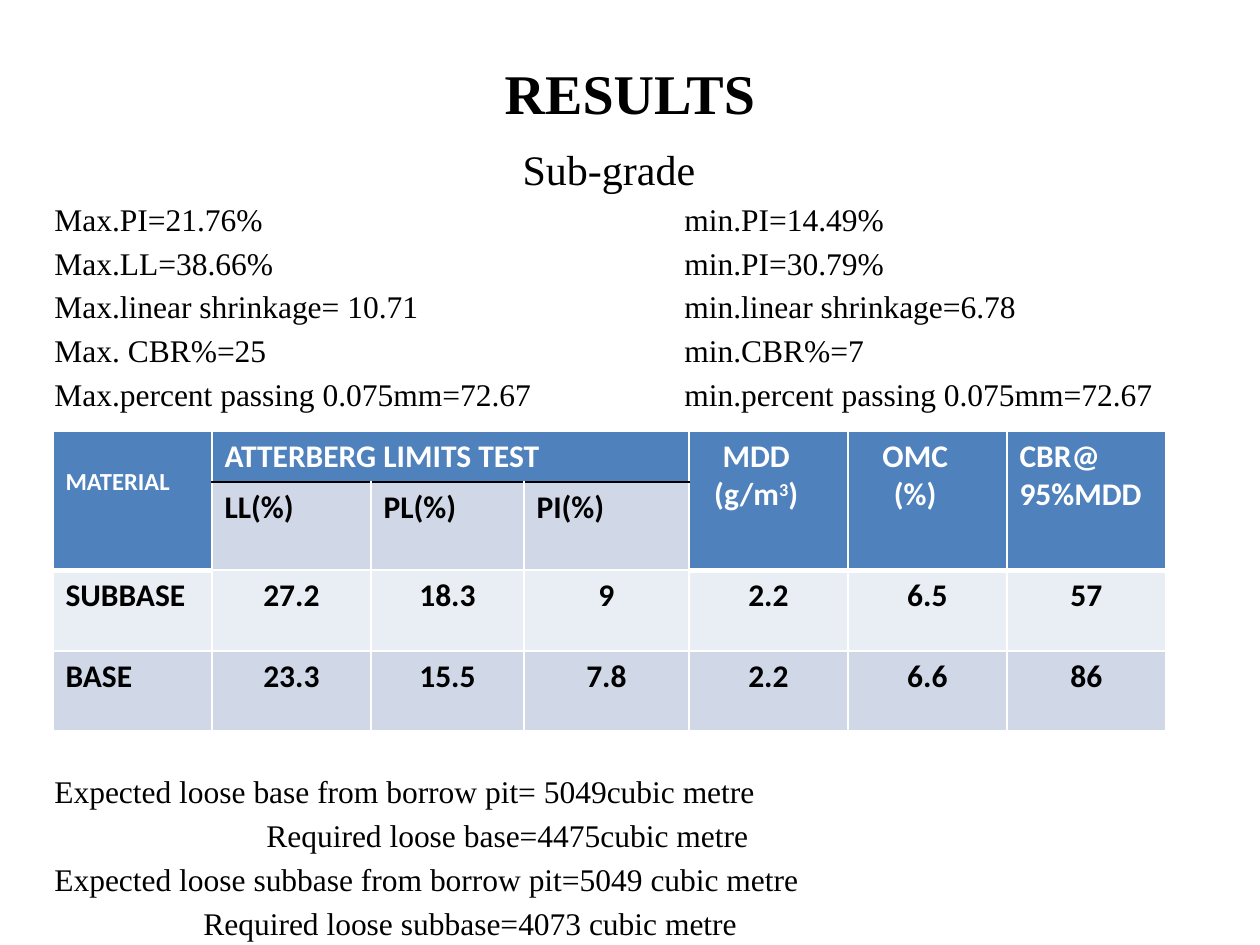
"""Build the results slide with sub-grade figures and the material test table."""
from dataclasses import dataclass, field
from typing import Any

from pptx import Presentation
from pptx.dml.color import RGBColor
from pptx.enum.text import MSO_ANCHOR as Anchor, PP_ALIGN as Align
from pptx.oxml.xmlchemy import OxmlElement as Element
from pptx.util import Pt

SCALE = 914400 / 126
COLORS = {"ink": "000000", "paper": "FFFFFF", "head": "4F81BD", "band": "D0D8E8", "light": "E9EDF4"}
SERIF, SANS = "Times New Roman", "Calibri"


@dataclass
class Line:
    text: str
    size: int = 18
    before: float = 3.5
    align: Align = Align.LEFT
    indent: int = 0
    font: str = SERIF
    color: str = "ink"
    bold: bool = False
    tab: int = 0
    superscript: str = ""
    ending: str = ""


@dataclass
class Cell:
    row: int
    col: int
    lines: list[Line]
    fill: str
    rows: int = 1
    cols: int = 1
    margins: dict[str, int] = field(default_factory=dict)


def emu(px: int) -> int:
    return round(px * SCALE)


def rgb(name: str) -> RGBColor:
    return RGBColor.from_string(COLORS[name])


def assign(target: Any, values: dict[str, Any]) -> None:
    for name, value in values.items():
        setattr(target, name, value)


def write(frame: Any, lines: list[Line]) -> None:
    for index, line in enumerate(lines):
        paragraph = frame.paragraphs[0] if index == 0 else frame.add_paragraph()
        properties = paragraph._p.get_or_add_pPr()
        if line.indent:
            properties.set("marL", str(emu(line.indent)))
        if line.tab:
            stops = Element("a:tabLst")
            stop = Element("a:tab")
            stop.set("pos", str(emu(line.tab)))
            stop.set("algn", "l")
            stops.append(stop)
            properties.append(stops)
        assign(paragraph, {"alignment": line.align, "space_before": Pt(line.before if index else 0)})
        for part, raised in ((line.text, False), (line.superscript, True), (line.ending, False)):
            if part:
                run = paragraph.add_run()
                run.text = part
                assign(run.font, {"name": line.font, "size": Pt(line.size), "bold": line.bold})
                run.font.color.rgb = rgb(line.color)
                if raised:
                    run._r.get_or_add_rPr().set("baseline", "30000")


def add_text(slide: Any, box: tuple[int, int, int, int], lines: list[Line], anchor: Anchor) -> None:
    frame = slide.shapes.add_textbox(*map(emu, box)).text_frame
    assign(frame, {"word_wrap": True, "vertical_anchor": anchor})
    write(frame, lines)


def set_border(cell: Any, side: str, color: str, width: int) -> None:
    edge = Element(f"a:{side}")
    edge.set("w", str(Pt(width)))
    fill = Element("a:solidFill")
    shade = Element("a:srgbClr")
    shade.set("val", COLORS[color])
    fill.append(shade)
    edge.append(fill)
    cell._tc.get_or_add_tcPr().append(edge)


def border_cell(cell: Any, row: int, col: int) -> None:
    under_title = 1 <= col <= 3
    edges = {
        "lnL": ("paper", 1),
        "lnR": ("paper", 1),
        "lnT": ("ink", 1) if under_title and row == 1 else ("paper", 3 if row == 2 and not under_title else 1),
        "lnB": ("ink", 1) if under_title and row == 0 else ("paper", 3 if row == 1 and not under_title else 1),
    }
    for side, (color, width) in edges.items():
        set_border(cell, side, color, width)


def label(text: str, color: str = "ink", **values: Any) -> Line:
    return Line(text, before=0, font=SANS, color=color, bold=True, **values)


def heading(text: str, **values: Any) -> Line:
    return label(text, "paper", **values)


def table_cells() -> list[Cell]:
    shifted = {"margin_right": 37}
    cells = [
        Cell(0, 0, [heading("MATERIAL", size=14)], "head", rows=2, margins={"margin_top": 36}),
        Cell(0, 1, [heading("ATTERBERG LIMITS TEST")], "head", cols=3),
        Cell(0, 4, [heading("MDD", align=Align.CENTER),
                    heading("(g/m", align=Align.CENTER, superscript="3", ending=")")],
             "head", rows=2, margins=shifted),
        Cell(0, 5, [heading("OMC", align=Align.CENTER), heading("(%)", align=Align.CENTER)],
             "head", rows=2, margins=shifted),
        Cell(0, 6, [heading("CBR@"), heading("95%MDD")], "head", rows=2),
    ]
    cells += [Cell(1, col, [label(limit)], "band") for col, limit in enumerate(("LL(%)", "PL(%)", "PI(%)"), 1)]
    materials = (
        ("light", ("SUBBASE", "27.2", "18.3", "9", "2.2", "6.5", "57")),
        ("band", ("BASE", "23.3", "15.5", "7.8", "2.2", "6.6", "86")),
    )
    for row, (fill, values) in enumerate(materials, 2):
        for col, value in enumerate(values):
            cells.append(Cell(row, col, [label(value, align=Align.CENTER if col else Align.LEFT)], fill))
    return cells


def add_results_table(slide: Any) -> None:
    widths, heights = (159, 159, 153, 165, 159, 159, 159), (51, 88, 81, 80)
    box = (53, 431, sum(widths), sum(heights))
    table = slide.shapes.add_table(len(heights), len(widths), *map(emu, box)).table
    for column, width in zip(table.columns, widths):
        column.width = emu(width)
    for row, height in zip(table.rows, heights):
        row.height = emu(height)
    for row in range(len(heights)):
        for col in range(len(widths)):
            border_cell(table.cell(row, col), row, col)
    for item in table_cells():
        cell = table.cell(item.row, item.col)
        if item.rows * item.cols > 1:
            cell.merge(table.cell(item.row + item.rows - 1, item.col + item.cols - 1))
        assign(cell, {name: emu(px) for name, px in item.margins.items()})
        cell.fill.solid()
        cell.fill.fore_color.rgb = rgb(item.fill)
        write(cell.text_frame, item.lines)


def main() -> None:
    deck = Presentation()
    assign(deck, {"slide_width": emu(1260), "slide_height": emu(945)})
    slide = deck.slides.add_slide(deck.slide_layouts[6])
    extremes = (
        ("Max.PI=21.76%", "min.PI=14.49%"),
        ("Max.LL=38.66%", "min.PI=30.79%"),
        ("Max.linear shrinkage= 10.71", "min.linear shrinkage=6.78"),
        ("Max. CBR%=25", "min.CBR%=7"),
        ("Max.percent passing 0.075mm=72.67", "min.percent passing 0.075mm=72.67"),
    )
    volumes = [
        Line("Expected loose base from borrow pit= 5049cubic metre", before=205),
        Line("Required loose base=4475cubic metre", indent=212),
        Line("Expected loose subbase from borrow pit=5049 cubic metre"),
        Line("Required loose subbase=4073 cubic metre", indent=149),
    ]
    subgrade = [Line("Sub-grade", size=24, align=Align.CENTER)]
    subgrade += [Line(f"{high}\t{low}", tab=630) for high, low in extremes]
    title = [Line("RESULTS", size=32, align=Align.CENTER, bold=True)]
    add_text(slide, (63, 37, 1134, 110), title, Anchor.MIDDLE)
    add_text(slide, (42, 137, 1134, 808), subgrade + volumes, Anchor.TOP)
    add_results_table(slide)
    deck.save("out.pptx")


if __name__ == "__main__":
    main()
